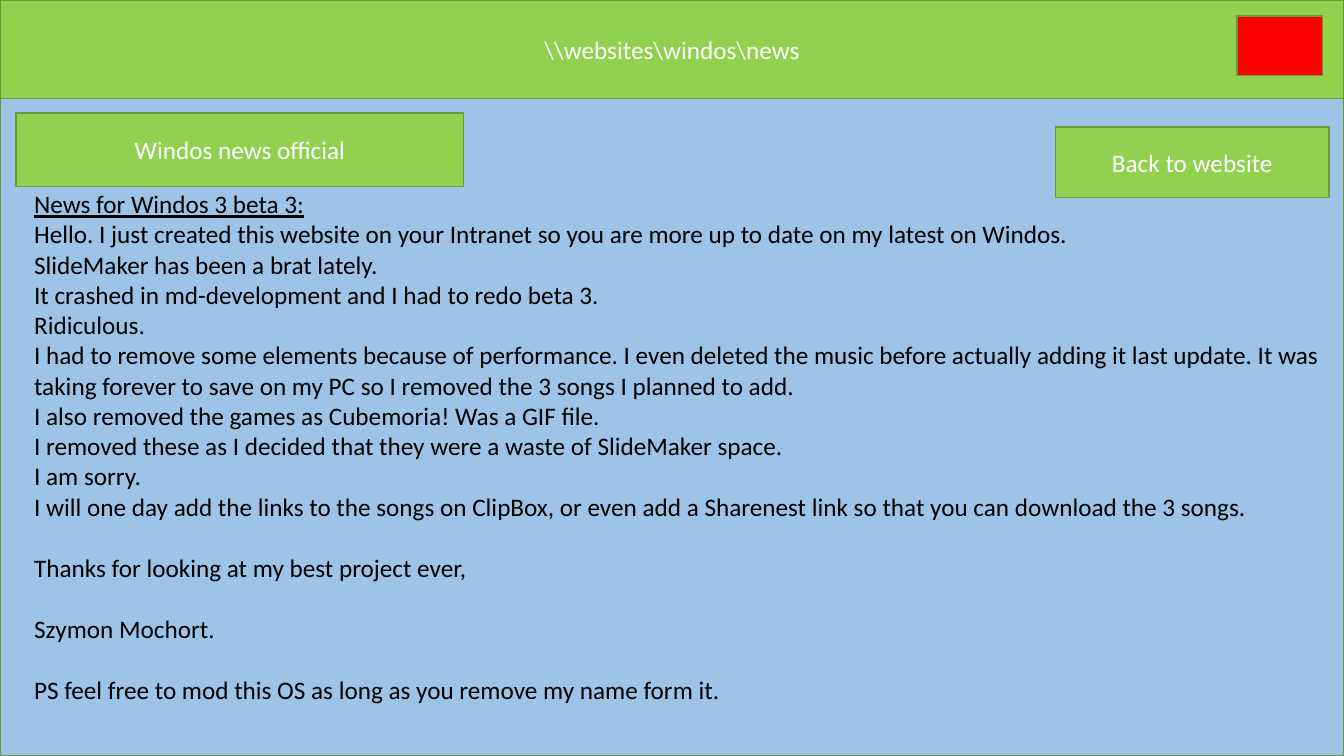
from pptx import Presentation
from pptx.dml.color import RGBColor
from pptx.enum import shapes, text
from pptx.util import Inches, Pt

COLORS = {
    "page": "9DC3E6",
    "green": "92D050",
    "edge": "6C9A3B",
    "close": "FF0000",
    "light": "FFFFFF",
    "dark": "000000",
}
WIDTH, HEIGHT, BAR = 13.33, 7.5, 0.98
TITLE = "News for Windos 3 beta 3:"
NEWS = [
    "Hello. I just created this website on your Intranet so you are more up to date on my latest on Windos.",
    "SlideMaker has been a brat lately.",
    "It crashed in md-development and I had to redo beta 3.",
    "Ridiculous.",
    "I had to remove some elements because of performance. I even deleted the music before actually adding it "
    "last update. It was taking forever to save on my PC so I removed the 3 songs I planned to add.",
    "I also removed the games as Cubemoria! Was a GIF file.",
    "I removed these as I decided that they were a waste of SlideMaker space.",
    "I am sorry.",
    "I will one day add the links to the songs on ClipBox, or even add a Sharenest link so that you can "
    "download the 3 songs.",
]
CLOSING = [
    "Thanks for looking at my best project ever,",
    "Szymon Mochort.",
    "PS feel free to mod this OS as long as you remove my name form it.",
]


def color(name):
    return RGBColor.from_string(COLORS[name])


def style(para, name):
    font = para.font
    font.name, font.size = "Calibri", Pt(18)
    font.color.rgb = color(name)


def panel(slide, box, fill, label=""):
    """Add an edged rectangle with an optional centred label."""
    shape = slide.shapes.add_shape(shapes.MSO_SHAPE.RECTANGLE, *map(Inches, box))
    shape.shadow.inherit = False
    shape.fill.solid()
    shape.fill.fore_color.rgb = color(fill)
    shape.line.color.rgb = color("edge")
    shape.line.width = Pt(1)
    if label:
        frame = shape.text_frame
        frame.text = label
        frame.vertical_anchor = text.MSO_ANCHOR.MIDDLE
        para = frame.paragraphs[0]
        para.alignment = text.PP_ALIGN.CENTER
        style(para, "light")


def header(slide, box):
    left, top, width, _ = box
    panel(slide, box, "green", r"\\websites\windos\news")
    panel(slide, (left + width - 1.06, top + 0.16, 0.85, 0.59), "close")


def article(slide, box):
    frame = slide.shapes.add_textbox(*map(Inches, box)).text_frame
    frame.word_wrap = True
    frame.auto_size = text.MSO_AUTO_SIZE.SHAPE_TO_FIT_TEXT
    frame.text = "\n".join([TITLE] + NEWS + CLOSING)
    for para in frame.paragraphs:
        style(para, "dark")
    frame.paragraphs[0].runs[0].font.underline = True
    for para in frame.paragraphs[-len(CLOSING):]:
        para.space_before = Pt(22)


def content(slide, box):
    left, top, width, height = box
    panel(slide, box, "page")
    panel(slide, (left + 0.16, top + 0.14, 4.44, 0.73), "green", "Windos news official")
    article(slide, (left + 0.24, top + 0.84, width - 0.32, 5.25))
    panel(slide, (left + width - 2.86, top + 0.28, 2.71, 0.7), "green", "Back to website")


def main():
    deck = Presentation()
    deck.slide_width, deck.slide_height = Inches(WIDTH), Inches(HEIGHT)
    slide = deck.slides.add_slide(deck.slide_layouts[6])
    content(slide, (0, BAR, WIDTH, HEIGHT - BAR))
    header(slide, (0, 0, WIDTH, BAR))
    deck.save("out.pptx")


if __name__ == "__main__":
    main()
